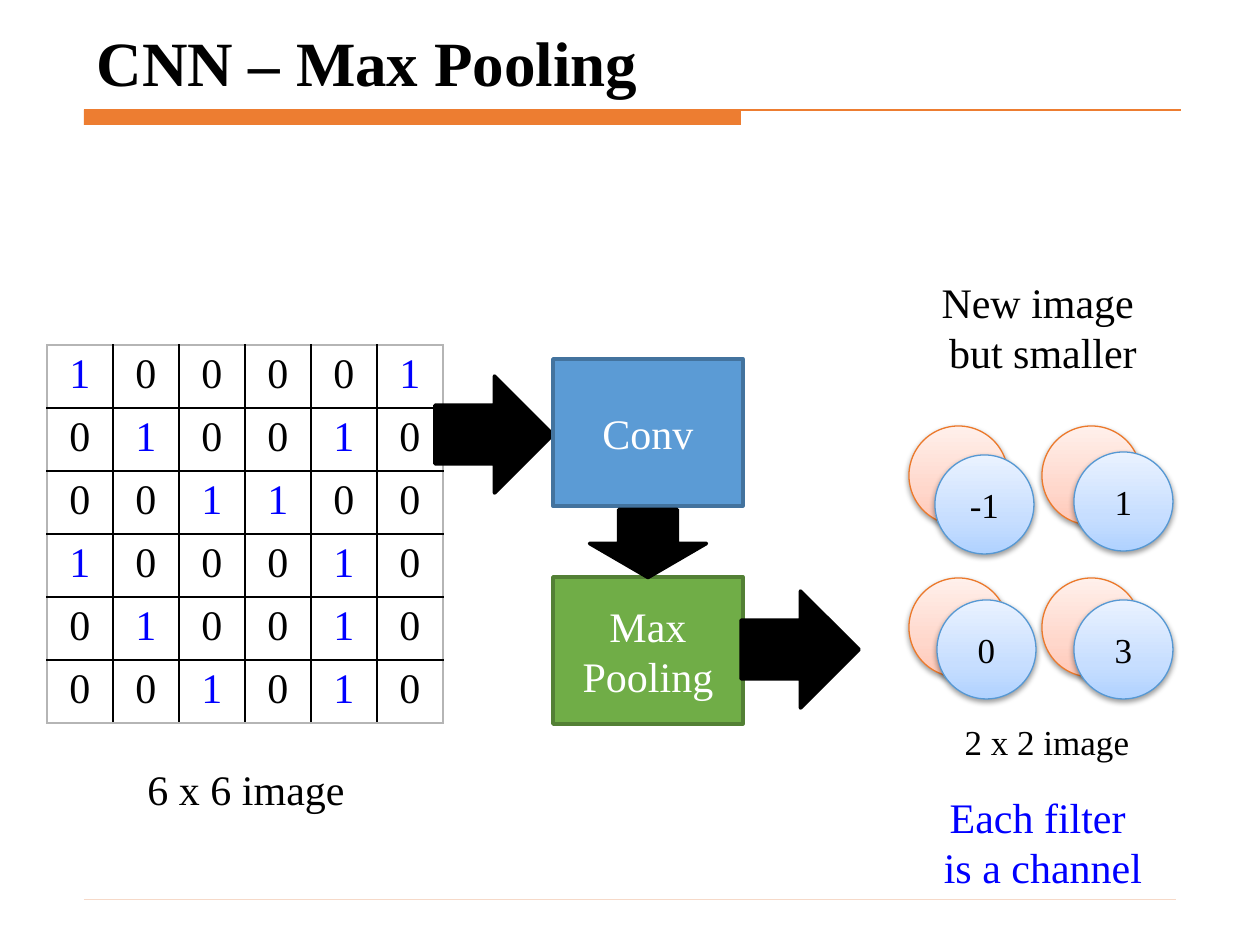
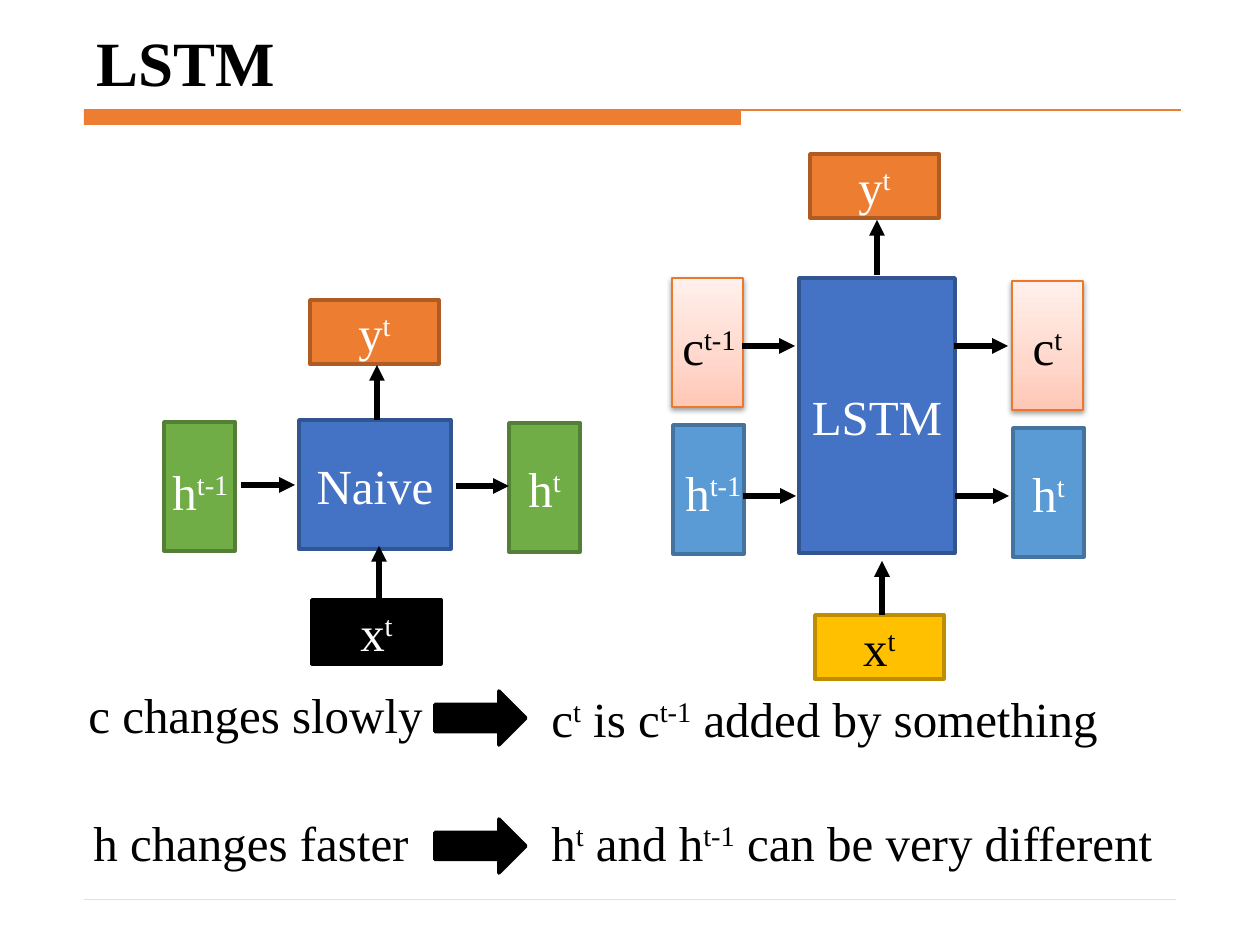
from copy import deepcopy
from dataclasses import dataclass

from lxml.etree import SubElement
from pptx import Presentation
from pptx.dml.color import RGBColor
from pptx.enum.shapes import MSO_CONNECTOR as CONN, MSO_SHAPE as SHAPE
from pptx.enum.text import MSO_ANCHOR as ANCHOR, PP_ALIGN as ALIGN
from pptx.oxml.ns import qn
from pptx.util import Emu, Pt


@dataclass(frozen=True)
class Theme:
    font: str = "Times New Roman"
    title: int = 36
    large: int = 28
    body: int = 24
    small: int = 20
    black: str = "000000"
    white: str = "FFFFFF"
    accent: str = "ED7D31"
    pale_accent: str = "F6D9C8"
    grid_edge: str = "B5B5B5"
    mark: str = "0000FF"
    # (fill, line, text) of solid shapes
    blue: tuple = ("4472C4", "325491", "FFFFFF")
    sky: tuple = ("5B9BD5", "43739E", "FFFFFF")
    green: tuple = ("70AD47", "538035", "FFFFFF")
    orange: tuple = ("ED7D31", "AF5C24", "FFFFFF")
    gold: tuple = ("FFC000", "BD8E00", "000000")
    dark: tuple = ("000000", "000000", "FFFFFF")
    # (gradient colours, line, text) of glossy shapes
    pink_gloss: tuple = (("FFC7B6", "FFD7CB", "FFF0EB"), "EC792B", "000000")
    sky_gloss: tuple = (("B0D2FF", "C7DEFF", "EAF2FF"), "5698D3", "000000")


T = Theme()
SCALE = 914400 / 126  # EMU in one px
GLOSS_STOPS = (0, 0.35, 1)


def px(*values):
    return [Emu(round(v * SCALE)) for v in values]


def rgb(value):
    return RGBColor.from_string(value)


# ---- Text and shapes ----
def write(tf, text, size=T.body, color=T.black, bold=False, align=ALIGN.CENTER,
          anchor=ANCHOR.TOP, wrap=True):
    """Fill a text frame; ^ marks switch superscript on and off."""
    tf.word_wrap = wrap
    tf.vertical_anchor = anchor
    for i, line in enumerate(text.split("\n")):
        p = tf.add_paragraph() if i else tf.paragraphs[0]
        p.alignment = align
        for j, part in enumerate(line.split("^")):
            if not part:
                continue
            r = p.add_run()
            r.text = part
            r.font.name, r.font.size, r.font.bold = T.font, Pt(size), bold
            r.font.color.rgb = rgb(color)
            if j % 2:
                r._r.get_or_add_rPr().set("baseline", "30000")


def add_text(slide, box, text, **fmt):
    write(slide.shapes.add_textbox(*px(*box)).text_frame, text, **fmt)


def add_gloss(sp, colors):
    """Three-stop gradient, darkest at the bottom."""
    sp.fill.gradient()
    sp.fill.gradient_angle = 90
    stops = sp.element.find(".//" + qn("a:gsLst"))
    stops.insert(1, deepcopy(stops[0]))
    for stop, color, position in zip(sp.fill.gradient_stops, colors, GLOSS_STOPS):
        stop.color.rgb = rgb(color)
        stop.position = position


def add_soft_shadow(sp):
    effects = sp.element.spPr.find(qn("a:effectLst"))
    shadow = SubElement(effects, qn("a:outerShdw"), blurRad="40000", dist="20000",
                        dir="5400000", rotWithShape="0")
    color = SubElement(shadow, qn("a:srgbClr"), val=T.black)
    SubElement(color, qn("a:alpha"), val="38000")


def add_block(slide, kind, box, look, text="", size=T.body):
    fill, line, text_color = look
    glossy = isinstance(fill, tuple)
    sp = slide.shapes.add_shape(kind, *px(*box))
    if glossy:
        add_gloss(sp, fill)
    else:
        sp.fill.solid()
        sp.fill.fore_color.rgb = rgb(fill)
    sp.line.color.rgb = rgb(line)
    sp.line.width = Pt(0.75 if glossy else 2)
    sp.shadow.inherit = False
    if glossy:
        add_soft_shadow(sp)
    if text:
        write(sp.text_frame, text, size=size, color=text_color, anchor=ANCHOR.MIDDLE)
    return sp


def add_line(slide, x1, y1, x2, y2, color=T.black, width=3, arrow=False):
    cn = slide.shapes.add_connector(CONN.STRAIGHT, *px(x1, y1, x2, y2))
    cn.line.color.rgb = rgb(color)
    cn.line.width = Pt(width)
    if arrow:
        SubElement(cn.line._get_or_add_ln(), qn("a:tailEnd"), type="triangle")
    SubElement(cn.element.spPr, qn("a:effectLst"))


# ---- Shared frame: title, band, footer rule ----
def new_slide(prs, title):
    slide = prs.slides.add_slide(prs.slide_layouts[5])
    ph = slide.shapes.title
    ph.left, ph.top, ph.width, ph.height = px(84, 26, 1101, 79)
    write(ph.text_frame, title, size=T.title, bold=True, align=ALIGN.LEFT,
          anchor=ANCHOR.BOTTOM)
    band = slide.shapes.add_shape(SHAPE.RECTANGLE, *px(84, 110, 657, 15))
    band.fill.solid()
    band.fill.fore_color.rgb = rgb(T.accent)
    band.line.fill.background()
    band.shadow.inherit = False
    add_line(slide, 84, 110, 1181, 110, color=T.accent, width=0.75)
    add_line(slide, 84, 899, 1176, 899, color=T.pale_accent, width=0.25)
    return slide


# ---- Max pooling ----
def add_borders(cell, at_edge):
    """Border the left, right, top and bottom sides, paler on the table's edge."""
    tc_pr = cell._tc.get_or_add_tcPr()
    for i, (side, edge) in enumerate(zip("LRTB", at_edge)):
        ln = SubElement(tc_pr, qn("a:ln" + side), w="12700")
        fill = SubElement(ln, qn("a:solidFill"))
        SubElement(fill, qn("a:srgbClr"), val=T.grid_edge if edge else T.black)
        tc_pr.insert(i, ln)


def add_pixel_grid(slide, x, y, rows, cell_w=66, cell_h=63):
    n_rows, n_cols = len(rows), len(rows[0])
    table = slide.shapes.add_table(
        n_rows, n_cols, *px(x, y, n_cols * cell_w, n_rows * cell_h)).table
    table.first_row = table.horz_banding = False
    for col in table.columns:
        col.width, = px(cell_w)
    for i, (row, digits) in enumerate(zip(table.rows, rows)):
        row.height, = px(cell_h)
        for j, (cell, digit) in enumerate(zip(row.cells, digits)):
            cell.fill.background()
            add_borders(cell, (j == 0, j == n_cols - 1, i == 0, i == n_rows - 1))
            write(cell.text_frame, digit, color=T.mark if digit == "1" else T.black)
    add_text(slide, (x + 37, y + 412, 324, 63), "6 x 6 image")


def add_channels(slide, x, y):
    """Two stacked 2 x 2 channels with their captions."""
    channels = (
        (T.pink_gloss, ((0, 0, ""), (133, 0, ""), (133, 152, ""), (0, 152, ""))),
        (T.sky_gloss, ((26, 29, "-1"), (165, 26, "1"), (165, 174, "3"), (28, 174, "0"))),
    )
    for look, values in channels:
        for dx, dy, value in values:
            add_block(slide, SHAPE.OVAL, (x + dx, y + dy, 99, 99), look, value, T.small)
    add_text(slide, (x - 23, y - 156, 314, 115), "New image \nbut smaller")
    add_text(slide, (x - 24, y + 288, 324, 55), "2 x 2 image", size=T.small)
    add_text(slide, (x - 22, y + 359, 312, 115), "Each filter \nis a channel",
             color=T.mark)


def add_pipeline(slide, x, y):
    add_block(slide, SHAPE.RIGHT_ARROW, (x - 118, y + 17, 118, 117), T.dark)
    add_block(slide, SHAPE.RECTANGLE, (x, y, 190, 147), T.sky, "Conv")
    add_block(slide, SHAPE.RECTANGLE, (x, y + 218, 190, 147), T.green, "Max\nPooling")
    add_block(slide, SHAPE.RIGHT_ARROW, (x + 188, y + 232, 118, 117), T.dark)
    down = add_block(slide, SHAPE.RIGHT_ARROW, (x + 61, y + 126, 68, 117), T.dark)
    down.rotation = 90


def build_pooling(prs):
    slide = new_slide(prs, "CNN – Max Pooling")
    add_pixel_grid(slide, 47, 345,
                   ("100001", "010010", "001100", "100010", "010010", "001010"))
    add_channels(slide, 909, 426)
    add_pipeline(slide, 553, 359)


# ---- LSTM ----
def add_network(slide, x, y, blocks, arrows, labels):
    for dx, dy, w, h, look, text in blocks:
        add_block(slide, SHAPE.RECTANGLE, (x + dx, y + dy, w, h), look, text, T.large)
    for x1, y1, x2, y2 in arrows:
        add_line(slide, x + x1, y + y1, x + x2, y + y2, arrow=True)
    for dx, dy, w, text, color in labels:
        add_text(slide, (x + dx, y + dy, w, 72), text, size=T.large, color=color,
                 wrap=False)


def add_naive(slide, x, y):
    add_network(
        slide, x, y,
        blocks=((0, 122, 71, 129, T.green, ""),
                (135, 120, 152, 129, T.blue, "Naive"),
                (345, 123, 71, 129, T.green, "h^t^"),
                (146, 0, 129, 64, T.orange, "y^t^"),
                (148, 300, 129, 64, T.dark, "x^t^")),
        arrows=((77, 185, 131, 185), (292, 186, 345, 186),
                (213, 120, 213, 65), (215, 300, 215, 246)),
        labels=((-8, 155, 89, "h^t-1^", T.white),))


def add_lstm(slide, x, y):
    add_network(
        slide, x, y,
        blocks=((127, 124, 156, 275, T.blue, "LSTM"),
                (0, 124, 71, 129, T.pink_gloss, ""),
                (1, 271, 71, 129, T.sky, ""),
                (340, 127, 71, 129, T.pink_gloss, "c^t^"),
                (341, 274, 71, 129, T.sky, "h^t^"),
                (138, 0, 129, 64, T.orange, "y^t^"),
                (143, 461, 129, 64, T.gold, "x^t^")),
        arrows=((70, 192, 123, 192), (71, 342, 124, 342),
                (282, 192, 336, 192), (283, 342, 337, 342),
                (205, 121, 205, 66), (210, 461, 210, 407)),
        labels=((-3, 302, 89, "h^t-1^", T.white),
                (-5, 156, 84, "c^t-1^", T.black)))


def add_conclusion(slide, y, cause, cause_x, effect, effect_y, effect_w):
    fmt = dict(size=T.large, align=ALIGN.LEFT)
    add_text(slide, (cause_x, y, 360, 72), cause, **fmt)
    add_block(slide, SHAPE.RIGHT_ARROW, (435, y + 13, 91, 54), T.dark)
    add_text(slide, (539, effect_y, effect_w, 72), effect, **fmt)


def build_lstm(prs):
    slide = new_slide(prs, "LSTM")
    add_conclusion(slide, 678, "c changes slowly", 76,
                   "c^t^ is c^t-1^ added by something", 682, 619)
    add_conclusion(slide, 806, "h changes faster", 81,
                   "h^t^ and h^t-1^ can be very different", 806, 687)
    add_naive(slide, 164, 300)
    add_lstm(slide, 672, 154)


def main():
    prs = Presentation()
    prs.slide_width, prs.slide_height = px(1260, 945)
    build_pooling(prs)
    build_lstm(prs)
    prs.save("out.pptx")


if __name__ == "__main__":
    main()
